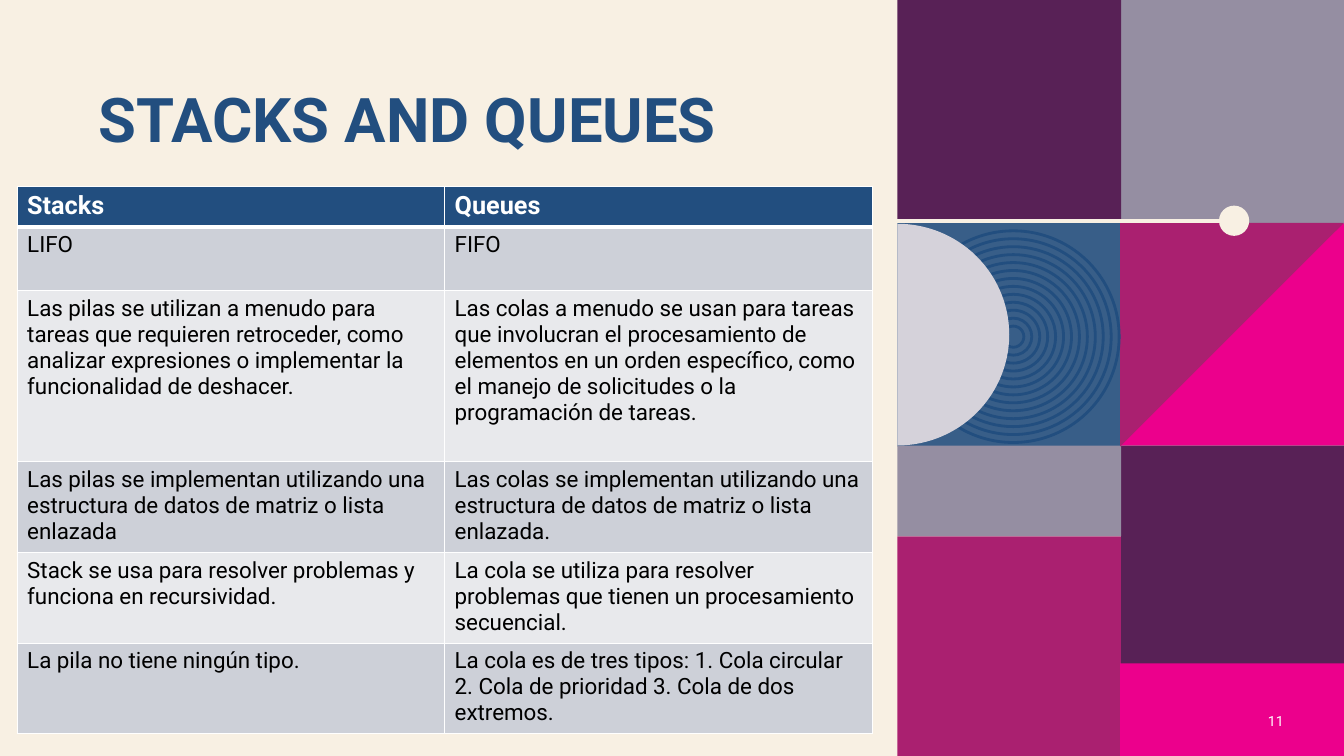
from math import cos, pi, sin

from lxml.etree import SubElement
from pptx import Presentation
from pptx.dml.color import RGBColor
from pptx.enum.shapes import MSO_CONNECTOR, MSO_SHAPE
from pptx.enum.text import MSO_ANCHOR, PP_ALIGN
from pptx.oxml import parse_xml
from pptx.oxml.ns import nsdecls, qn
from pptx.util import Inches, Pt

FONT = "Roboto"
CREAM, NAVY, BLUE = "F8F0E3", "224E7F", "385E88"
PLUM, LILAC, PALE = "582156", "958EA2", "D5D2DA"
BERRY, PINK = "AA2070", "EC008C"
WHITE, BLACK = "FFFFFF", "000000"
ROW_FILLS = ("CDD0D8", "E8E9EC")

# Left, top, width, height and colour of each tile, from back to front
TILES = [
    (8.9, 2.21, 2.22, 2.22, BLUE),
    (11.11, 2.2, 2.22, 2.22, PINK),
    (11.11, 0, 2.22, 2.22, LILAC),
    (8.9, -0.01, 2.22, 2.22, PLUM),
    (8.9, 5.32, 2.22, 2.19, BERRY),
    (11.12, 4.42, 2.22, 2.22, PLUM),
    (11.11, 6.58, 2.22, 0.92, PINK),
    (8.9, 4.42, 2.22, 0.9, LILAC),
]
RING_COUNT = 13
ROW_HEIGHTS = [0.4, 0.63, 1.7, 0.9, 0.9, 0.9]
ROWS = [
    ("Stacks", "Queues"),
    ("LIFO", "FIFO"),
    ("Las pilas se utilizan a menudo para tareas que requieren retroceder, "
     "como analizar expresiones o implementar la funcionalidad de deshacer.",
     "Las colas a menudo se usan para tareas que involucran el procesamiento "
     "de elementos en un orden específico, como el manejo de solicitudes o "
     "la programación de tareas."),
    ("Las pilas se implementan utilizando una estructura de datos de matriz "
     "o lista enlazada",
     "Las colas se implementan utilizando una estructura de datos de matriz "
     "o lista enlazada."),
    ("Stack se usa para resolver problemas y funciona en recursividad.",
     "La cola se utiliza para resolver problemas que tienen un procesamiento "
     "secuencial."),
    ("La pila no tiene ningún tipo.",
     "La cola es de tres tipos: 1. Cola circular 2. Cola de prioridad "
     "3. Cola de dos extremos."),
]


def set_solid(fill, color):
    fill.solid()
    fill.fore_color.rgb = RGBColor.from_string(color)


def place(shape, left, top, width, height):
    shape.left, shape.top = Inches(left), Inches(top)
    shape.width, shape.height = Inches(width), Inches(height)


def add_run(paragraph, text, size, color, bold=False):
    run = paragraph.add_run()
    run.text = text
    run.font.name, run.font.size, run.font.bold = FONT, Pt(size), bold
    run.font.color.rgb = RGBColor.from_string(color)


def style_filled(shape, color):
    shape.shadow.inherit = False
    set_solid(shape.fill, color)
    shape.line.fill.background()


def add_filled(slide, kind, left, top, width, height, color):
    shape = slide.shapes.add_shape(
        kind, Inches(left), Inches(top), Inches(width), Inches(height))
    style_filled(shape, color)


def add_ring(slide, center_x, center_y, diameter):
    ring = slide.shapes.add_shape(
        MSO_SHAPE.OVAL, Inches(center_x - diameter / 2),
        Inches(center_y - diameter / 2), Inches(diameter), Inches(diameter))
    ring.shadow.inherit = False
    ring.fill.background()
    ring.line.color.rgb = RGBColor.from_string(NAVY)
    ring.line.width = Pt(2)


def add_outline(slide, points, color):
    corners = [(Inches(x), Inches(y)) for x, y in points]
    builder = slide.shapes.build_freeform(*corners[0])
    builder.add_line_segments(corners[1:], close=True)
    style_filled(builder.convert_to_shape(), color)


def add_rule(slide, left, right, y, color, width):
    rule = slide.shapes.add_connector(
        MSO_CONNECTOR.STRAIGHT, Inches(left), Inches(y), Inches(right), Inches(y))
    rule.line.color.rgb = RGBColor.from_string(color)
    rule.line.width = Pt(width)
    SubElement(rule.element.spPr, qn("a:effectLst"))


def add_mosaic(slide):
    for left, top, width, height, color in TILES:
        add_filled(slide, MSO_SHAPE.RECTANGLE, left, top, width, height, color)
    add_outline(slide, [(13.33, 2.21), (11.11, 4.43), (11.11, 2.21)], BERRY)

    # Evenly spaced rings, partly covered by the half disc
    for index in range(RING_COUNT):
        add_ring(slide, 10.05, 3.34, 2.1 - 1.89 * index / (RING_COUNT - 1))
    angles = [pi * (step / 60 - 0.5) for step in range(61)]
    half_disc = [(8.9 + 1.11 * cos(a), 3.32 + 1.1 * sin(a)) for a in angles]
    add_outline(slide, half_disc, PALE)

    # Rule ending in a dot
    add_rule(slide, 8.85, 12.15, 2.19, CREAM, 3)
    add_filled(slide, MSO_SHAPE.OVAL, 12.09, 2.04, 0.3, 0.3, CREAM)


def add_title(slide, text):
    title = slide.shapes.title
    place(title, 0.88, 0.84, 7.44, 1.45)
    title.text_frame.vertical_anchor = MSO_ANCHOR.TOP
    paragraph = title.text_frame.paragraphs[0]
    paragraph.alignment = PP_ALIGN.LEFT
    paragraph.line_spacing = 0.9
    add_run(paragraph, text, 44, NAVY, bold=True)


def add_slide_number(slide, text):
    box = slide.shapes.add_textbox(
        Inches(12.33), Inches(6.95), Inches(0.5), Inches(0.4))
    box.text_frame.word_wrap = True
    box.text_frame.vertical_anchor = MSO_ANCHOR.MIDDLE
    paragraph = box.text_frame.paragraphs[0]
    paragraph.alignment = PP_ALIGN.RIGHT
    add_run(paragraph, text, 10, WHITE)


def set_borders(cell, widths):
    properties = cell._tc.get_or_add_tcPr()
    for index, (side, width) in enumerate(widths.items()):
        border = parse_xml(
            f'<a:ln{side} {nsdecls("a")} w="{Pt(width)}"><a:solidFill>'
            f'<a:srgbClr val="{WHITE}"/></a:solidFill></a:ln{side}>')
        properties.insert(index, border)


def add_comparison(slide):
    frame = slide.shapes.add_table(
        len(ROWS), 2, Inches(0.17), Inches(1.85), Inches(8.48),
        Inches(sum(ROW_HEIGHTS)))
    table = frame.table
    for row_index, texts in enumerate(ROWS):
        table.rows[row_index].height = Inches(ROW_HEIGHTS[row_index])
        header = row_index == 0
        for column_index, text in enumerate(texts):
            cell = table.cell(row_index, column_index)
            set_solid(cell.fill, NAVY if header else ROW_FILLS[(row_index - 1) % 2])
            set_borders(cell, {"L": 1, "R": 1, "T": 3 if row_index == 1 else 1,
                               "B": 3 if header else 1})
            add_run(cell.text_frame.paragraphs[0], text, 18 if header else 16,
                    WHITE if header else BLACK, bold=header)


def main():
    presentation = Presentation()
    presentation.slide_width = Inches(13.33)
    presentation.slide_height = Inches(7.5)
    slide = presentation.slides.add_slide(presentation.slide_layouts[5])
    set_solid(slide.background.fill, CREAM)
    add_mosaic(slide)
    add_title(slide, "STACKS AND QUEUES")
    add_slide_number(slide, "11")
    add_comparison(slide)
    presentation.save("out.pptx")


if __name__ == "__main__":
    main()
